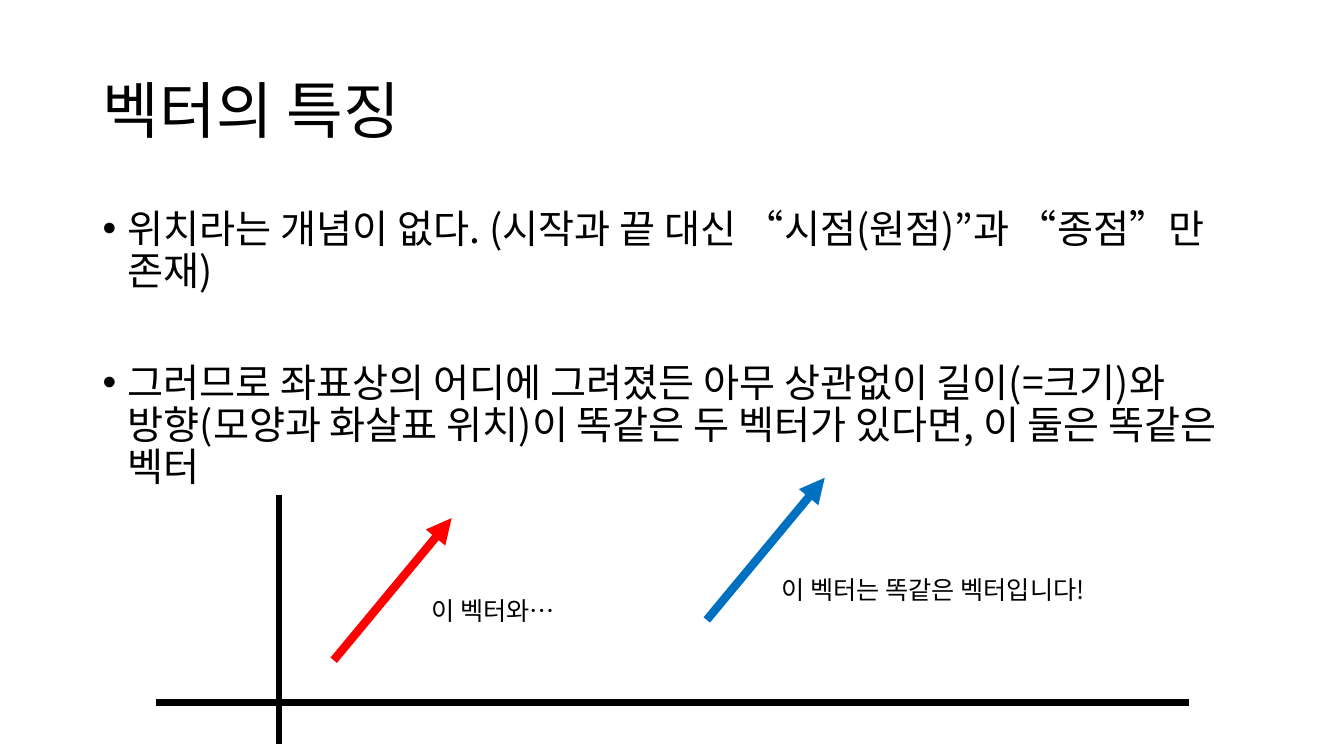
import pptx
import pptx.util
import pptx.dml.color
import pptx.enum.shapes
import pptx.enum.text
from lxml import etree

PX = 9144  # EMU per px, 100 px to the inch
FONT = "Noto Sans CJK KR"
BLACK = pptx.dml.color.RGBColor(0x00, 0x00, 0x00)
RED = pptx.dml.color.RGBColor(0xFF, 0x00, 0x00)
BLUE = pptx.dml.color.RGBColor(0x00, 0x70, 0xC0)
A = "{http://schemas.openxmlformats.org/drawingml/2006/main}"

# Content: boxes are left, top, width, height in px
TITLE = "벡터의 특징"
BULLETS = [
    "위치라는 개념이 없다. (시작과 끝 대신 “시점(원점)”과 “종점”만 존재)",
    "그러므로 좌표상의 어디에 그려졌든 아무 상관없이 길이(=크기)와 방향(모양과 화살표 위치)이 "
    "똑같은 두 벡터가 있다면, 이 둘은 똑같은 벡터",
]
LABELS = [
    ("이 벡터와…", (418, 585, 149, 40)),
    ("이 벡터는 똑같은 벡터입니다!", (765, 564, 357, 40)),
]
AXES = [((277, 491), (277, 738)), ((155, 697), (1179, 697))]
VECTOR = (117, -141)  # both arrows share one length and direction
ARROWS = [((331, 655), RED), ((701, 615), BLUE)]

prs = pptx.Presentation()
prs.slide_width = 1333 * PX
prs.slide_height = 750 * PX
s = prs.slides.add_slide(prs.slide_layouts[6])


def add_text(paragraphs, box, size, spacing, gap=0, bullet=False, wrap=True,
             anchor=pptx.enum.text.MSO_ANCHOR.TOP, inset=5):
    sp = s.shapes.add_textbox(*(v * PX for v in box))
    tf = sp.text_frame
    tf.word_wrap = wrap
    tf.vertical_anchor = anchor
    tf.margin_top = inset * PX
    for i, text in enumerate(paragraphs):
        p = tf.paragraphs[0] if i == 0 else tf.add_paragraph()
        p.line_spacing = spacing
        p.space_before = pptx.util.Pt(gap if i else 0)
        if bullet:
            pPr = p._p.get_or_add_pPr()
            pPr.set("marL", str(25 * PX))
            pPr.set("indent", str(-25 * PX))
            etree.SubElement(pPr, A + "buFont", typeface="Arial")
            etree.SubElement(pPr, A + "buChar", char="•")
        r = p.add_run()
        r.text = text
        r.font.size = pptx.util.Pt(size)
        r.font.name = FONT
        r.font.color.rgb = BLACK
        etree.SubElement(r._r.get_or_add_rPr(), A + "ea", typeface=FONT)


def add_line(start, end, color, width, arrow=False):
    sp = s.shapes.add_connector(pptx.enum.shapes.MSO_CONNECTOR.STRAIGHT,
                                *(v * PX for v in start + end))
    sp.line.color.rgb = color
    sp.line.width = pptx.util.Pt(width)
    if arrow:
        etree.SubElement(sp.line._get_or_add_ln(), A + "tailEnd", type="triangle")
    etree.SubElement(sp._element.spPr, A + "effectLst")


# Title and bullets
add_text([TITLE], (92, 40, 1150, 145), 44, 0.9,
         anchor=pptx.enum.text.MSO_ANCHOR.MIDDLE)
add_text(BULLETS, (92, 200, 1150, 476), 28, pptx.util.Pt(30), gap=50,
         bullet=True, inset=8)

# Axes
for start, end in AXES:
    add_line(start, end, BLACK, 4.5)

# Equal vectors
for start, color in ARROWS:
    end = (start[0] + VECTOR[0], start[1] + VECTOR[1])
    add_line(start, end, color, 6, arrow=True)

# Vector labels
for text, box in LABELS:
    add_text([text], box, 18, pptx.util.Pt(22), wrap=False)

prs.save("out.pptx")
